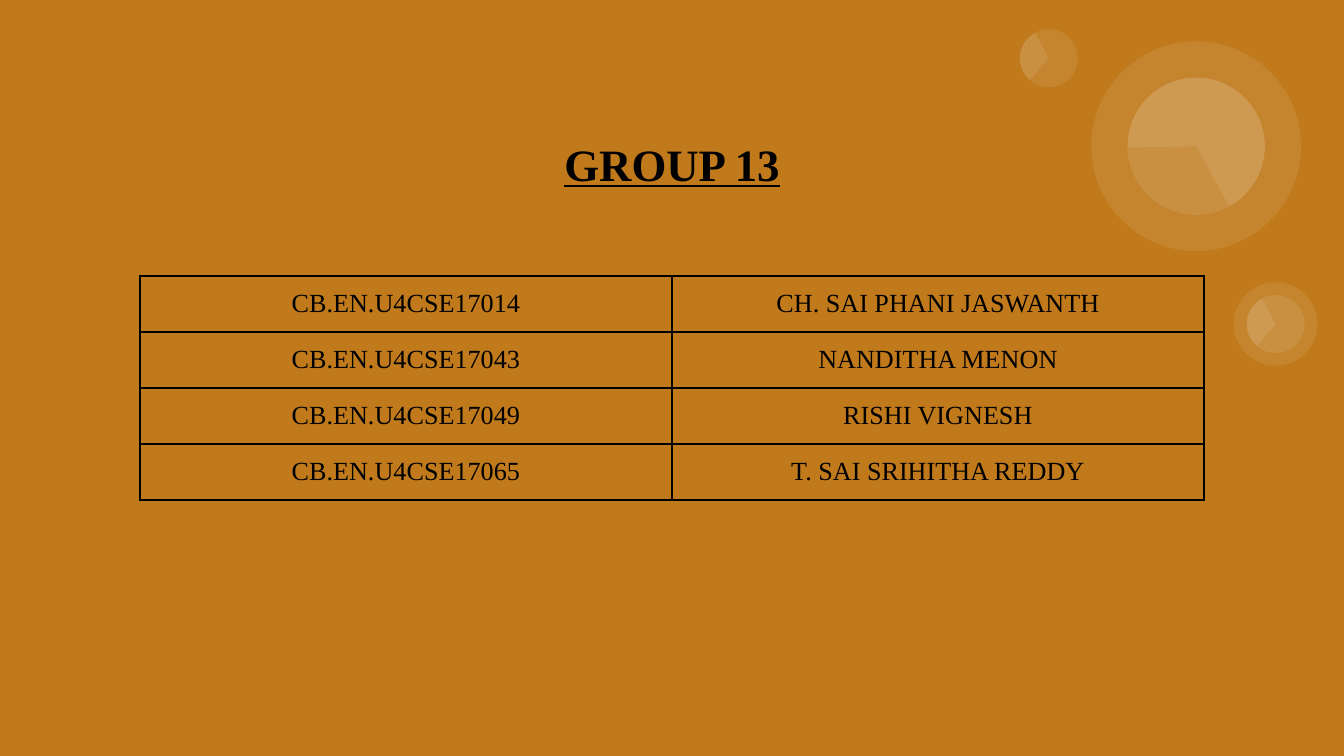
import pptx
import pptx.dml.color
import pptx.enum.shapes
import pptx.enum.text
import pptx.oxml
import pptx.oxml.ns
import pptx.util
import lxml.etree

Pt = pptx.util.Pt
RGB = pptx.dml.color.RGBColor.from_string
Kind = pptx.enum.shapes.MSO_SHAPE
Anchor = pptx.enum.text.MSO_ANCHOR
qn = pptx.oxml.ns.qn

COLORS = {"ground": "C0791B", "ink": "000000", "glow": "FFFFFF"}
FONT = "Times New Roman"
INSET = 7.2
BIG = (640.8, 78.3)
SMALL = (683.4, 173.6)
TOP = (561.9, 31.2)

DISCS = [
    (BIG, 73.6, 215.9, (323, 205.2)),
    (BIG, 112.4, 215.8, None),
    (SMALL, 44.8, 35.9, None),
    (SMALL, 31, 35.8, (95, 205.2)),
    (TOP, 31, 35.8, (95, 205.2)),
]
MEMBERS = [
    ("CB.EN.U4CSE17014", "CH. SAI PHANI JASWANTH"),
    ("CB.EN.U4CSE17043", "NANDITHA MENON"),
    ("CB.EN.U4CSE17049", "RISHI VIGNESH"),
    ("CB.EN.U4CSE17065", "T. SAI SRIHITHA REDDY"),
]


def write(frame, text, size=14, bold=False, under=False, space=1.0):
    line = frame.paragraphs[0]
    line.alignment = pptx.enum.text.PP_ALIGN.CENTER
    line.line_spacing = space
    run = line.add_run()
    run.text = text
    font = run.font
    font.name, font.size = FONT, Pt(size)
    font.bold, font.underline = bold, under
    font.color.rgb = RGB(COLORS["ink"])


def inset(box):
    box.margin_left = box.margin_right = Pt(INSET)
    box.margin_top = box.margin_bottom = Pt(INSET)


class Page:
    def __init__(self, deck):
        self.slide = deck.slides.add_slide(deck.slide_layouts[5])
        fill = self.slide.background.fill
        fill.solid()
        fill.fore_color.rgb = RGB(COLORS["ground"])

    def glow(self, kind, center, size, turn):
        left, top = (mid - size / 2 for mid in center)
        shape = self.slide.shapes.add_shape(
            kind, Pt(left), Pt(top), Pt(size), Pt(size))
        shape.shadow.inherit = False
        shape.rotation = turn
        shape.line.fill.background()
        shape.fill.solid()
        shape.fill.fore_color.rgb = RGB(COLORS["glow"])
        color = shape.fill._xPr.find(".//" + qn("a:srgbClr"))
        lxml.etree.SubElement(color, qn("a:alpha"), val="9000")
        return shape

    def disc(self, center, size, turn, wedge):
        self.glow(Kind.OVAL, center, size, turn)
        if wedge:
            pie = self.glow(Kind.PIE, center, size, turn)
            for i, angle in enumerate(wedge):
                pie.adjustments[i] = angle * 0.6

    def title(self, text, left, top, width, height):
        shape = self.slide.shapes.title
        shape.left, shape.top = Pt(left), Pt(top)
        shape.width, shape.height = Pt(width), Pt(height)
        frame = shape.text_frame
        frame.word_wrap = True
        frame.auto_size = pptx.enum.text.MSO_AUTO_SIZE.NONE
        frame.vertical_anchor = Anchor.MIDDLE
        inset(frame)
        write(frame, text, size=24, bold=True, under=True, space=1.15)

    def border(self, cell):
        props = cell._tc.get_or_add_tcPr()
        for i, side in enumerate(("lnL", "lnR", "lnT", "lnB")):
            edge = pptx.oxml.parse_xml(
                f'<a:{side} {pptx.oxml.ns.nsdecls("a")} w="{Pt(1)}">'
                f'<a:solidFill><a:srgbClr val="{COLORS["ink"]}"/></a:solidFill>'
                f'</a:{side}>')
            props.insert(i, edge)

    def table(self, rows, left, top, width, height):
        table = self.slide.shapes.add_table(
            len(rows), len(rows[0]), Pt(left), Pt(top),
            Pt(width), Pt(height)).table
        table.first_row = table.horz_banding = False
        for r, row in enumerate(rows):
            for c, text in enumerate(row):
                cell = table.cell(r, c)
                cell.fill.background()
                cell.vertical_anchor = Anchor.TOP
                inset(cell)
                write(cell.text_frame, text)
                self.border(cell)


def main():
    deck = pptx.Presentation()
    deck.slide_width, deck.slide_height = Pt(720), Pt(405)
    page = Page(deck)
    for disc in DISCS:
        page.disc(*disc)
    page.title("GROUP 13", 83.5, 59, 553, 52.6)
    page.table(MEMBERS, 75, 148, 570, 120)
    deck.save("out.pptx")


if __name__ == "__main__":
    main()
